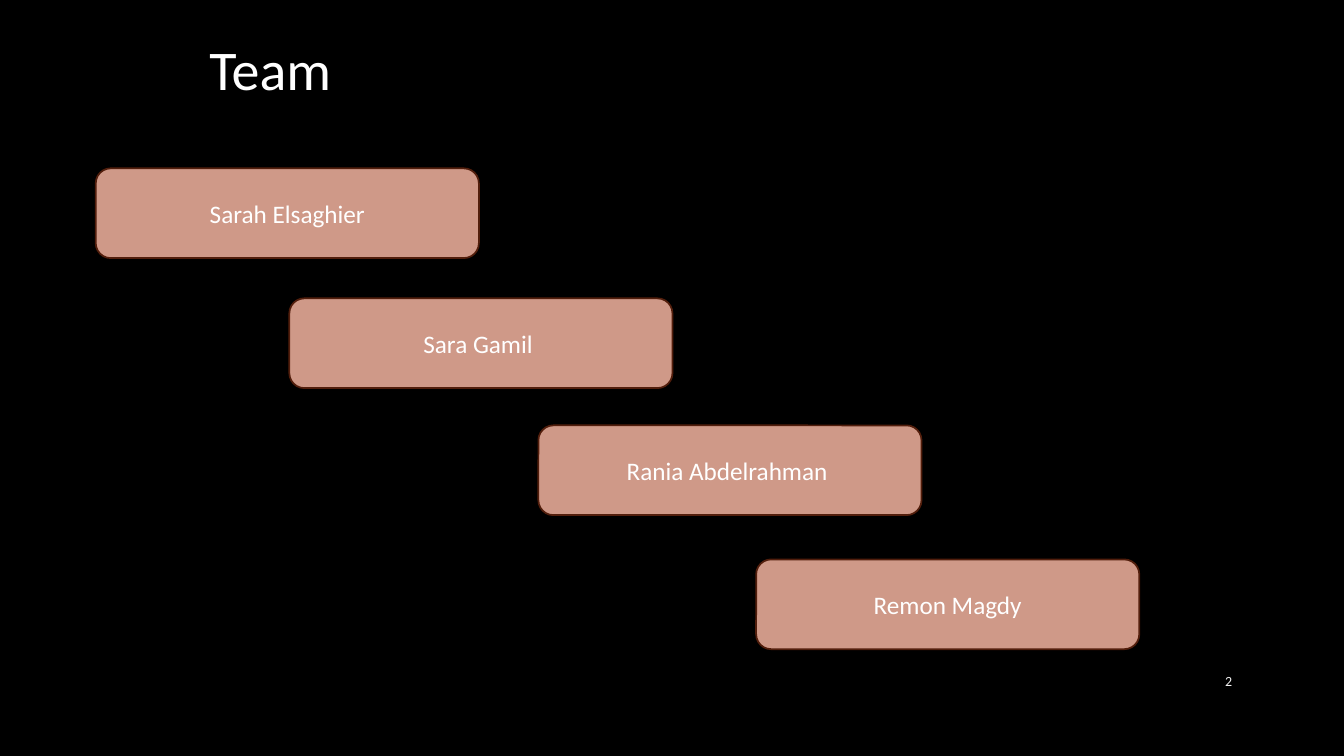
from pptx import Presentation
from pptx.dml.color import RGBColor
from pptx.enum.shapes import MSO_SHAPE as Shape
from pptx.enum.text import MSO_ANCHOR as Anchor, PP_ALIGN as Align
from pptx.util import Inches, Pt

BLACK = RGBColor(0x00, 0x00, 0x00)
WHITE = RGBColor(0xFF, 0xFF, 0xFF)
PALE = RGBColor(0xF2, 0xF2, 0xF2)
ROSE = RGBColor(0xCF, 0x99, 0x88)
BROWN = RGBColor(0x52, 0x1E, 0x0C)

TITLE = "Team"
PAGE = "2"
MEMBERS = [
    ("Sarah Elsaghier", 0.95, 1.67),
    ("Sara Gamil ", 2.87, 2.96),
    ("Rania Abdelrahman ", 5.34, 4.22),
    ("Remon Magdy", 7.5, 5.55),
]
CARD_SIZE = (3.8, 0.89)


def write(holder, text, size, color, align, anchor):
    frame = holder.text_frame
    frame.word_wrap = True
    frame.vertical_anchor = anchor
    paragraph = frame.paragraphs[0]
    paragraph.text = text
    paragraph.alignment = align
    font = paragraph.font
    font.name = "Calibri"
    font.size = Pt(size)
    font.color.rgb = color


def add_label(slide, box, *style):
    write(slide.shapes.add_textbox(*map(Inches, box)), *style)


def add_card(slide, name, left, top):
    box = map(Inches, (left, top, *CARD_SIZE))
    card = slide.shapes.add_shape(Shape.ROUNDED_RECTANGLE, *box)
    card.shadow.inherit = False
    card.fill.solid()
    card.fill.fore_color.rgb = ROSE
    card.line.color.rgb = BROWN
    card.line.width = Pt(1.25)
    write(card, name, 18, WHITE, Align.CENTER, Anchor.MIDDLE)


def main():
    deck = Presentation()
    deck.slide_width, deck.slide_height = Inches(13.33), Inches(7.5)
    slide = deck.slides.add_slide(deck.slide_layouts[6])
    slide.background.fill.solid()
    slide.background.fill.fore_color.rgb = BLACK

    add_label(slide, (11.5, 6.56, 0.82, 0.4), PAGE, 10, PALE, Align.RIGHT, Anchor.MIDDLE)
    add_label(slide, (0.44, 0.29, 4.48, 0.77), TITLE, 40, WHITE, Align.CENTER, Anchor.TOP)
    for member in MEMBERS:
        add_card(slide, *member)

    deck.save("out.pptx")


if __name__ == "__main__":
    main()
